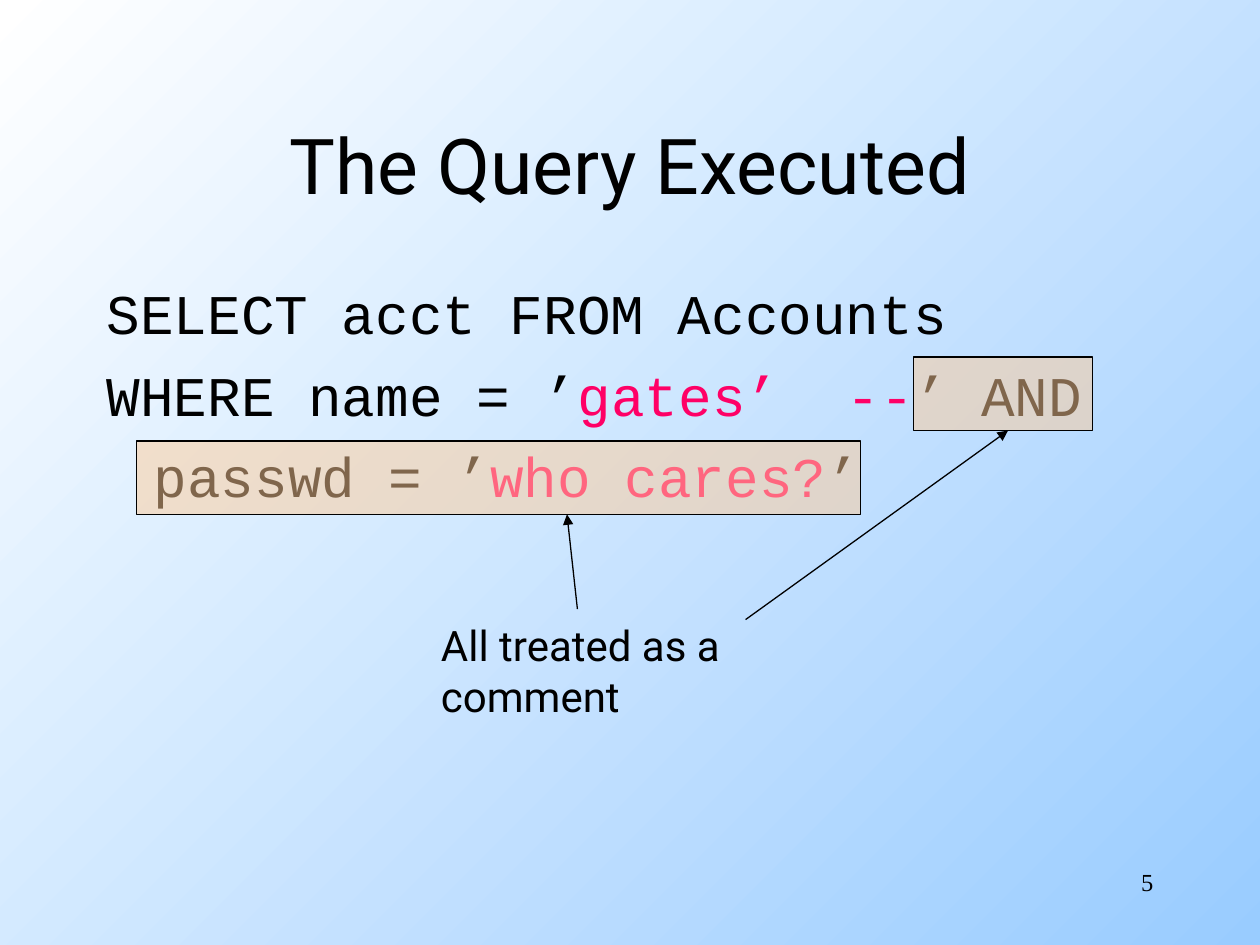
from lxml import etree
from pptx import Presentation
from pptx.dml.color import RGBColor
from pptx.enum import shapes, text
from pptx.oxml import ns
from pptx.util import Cm, Pt

HUES = {"ink": "000000", "pink": "FF0066", "peach": "FFCC99",
        "white": "FFFFFF", "sky": "99CCFF"}
QUERY = [
    [("SELECT acct FROM Accounts", "ink")],
    [("WHERE name = ’", "ink"), ("gates’  --", "pink"), ("’ AND", "ink")],
    [("passwd = ’", "ink"), ("who cares?", "pink"), ("’", "ink")],
]
BOXES = [(18.42, 7.2, 3.6, 1.48), (2.75, 8.89, 14.6, 1.48)]
ARROWS = [(11.64, 12.28, 11.43, 10.37), (15.03, 12.49, 20.32, 8.68)]


def hue(name):
    """Return the named colour."""
    return RGBColor.from_string(HUES[name])


def style(run, font, size, name="ink"):
    """Set the font, size and colour of a run."""
    run.font.name = font
    run.font.size = Pt(size)
    run.font.color.rgb = hue(name)


def place(shape, *area):
    """Move and size a shape, in centimetres."""
    shape.left, shape.top, shape.width, shape.height = map(Cm, area)


def paint(slide):
    """Fill the background with a diagonal gradient."""
    fill = slide.background.fill
    fill.gradient()
    fill.gradient_angle = 315
    for stop, name in zip(fill.gradient_stops, ("white", "sky")):
        stop.color.rgb = hue(name)


def head(slide, words):
    """Write the slide title."""
    title = slide.shapes.title
    place(title, 1.9, 1.7, 21.6, 3.18)
    frame = title.text_frame
    frame.text = words
    frame.vertical_anchor = text.MSO_ANCHOR.MIDDLE
    para = frame.paragraphs[0]
    para.alignment = text.PP_ALIGN.CENTER
    style(para.runs[0], "Roboto", 44)


def frame(slide, *area):
    """Add a wrapping text box and return its frame."""
    body = slide.shapes.add_textbox(*map(Cm, area)).text_frame
    body.word_wrap = True
    return body


def label(slide, words, area, font, size, align=text.PP_ALIGN.LEFT):
    """Add a text box of one paragraph."""
    body = frame(slide, *area)
    body.text = words
    para = body.paragraphs[0]
    para.alignment = align
    style(para.runs[0], font, size)


def code(slide, lines):
    """Write the query with coloured parts and a hanging last line."""
    body = frame(slide, 1.9, 5.5, 21.6, 11.43)
    for i, parts in enumerate(lines):
        para = body.paragraphs[0] if i == 0 else body.add_paragraph()
        para.space_before = Pt(8)
        for words, name in parts:
            run = para.add_run()
            run.text = words
            style(run, "Courier New", 32, name)
    para._p.get_or_add_pPr().set("marL", str(Cm(0.95)))


def veil(slide, area):
    """Add a half transparent box."""
    box = slide.shapes.add_shape(shapes.MSO_SHAPE.RECTANGLE, *map(Cm, area))
    box.shadow.inherit = False
    box.fill.solid()
    box.fill.fore_color.rgb = hue("peach")
    tint = box._element.spPr.find(".//" + ns.qn("a:srgbClr"))
    etree.SubElement(tint, ns.qn("a:alpha"), val="50000")
    box.line.color.rgb = hue("ink")
    box.line.width = Pt(0.75)


def arrow(slide, ends):
    """Add a line with an arrowhead at its end."""
    link = slide.shapes.add_connector(shapes.MSO_CONNECTOR.STRAIGHT,
                                      *map(Cm, ends))
    link.line.color.rgb = hue("ink")
    link.line.width = Pt(0.75)
    etree.SubElement(link.line._get_or_add_ln(), ns.qn("a:tailEnd"),
                     type="triangle")
    etree.SubElement(link._element.spPr, ns.qn("a:effectLst"))


def main():
    """Build the slide and save it."""
    deck = Presentation()
    deck.slide_width, deck.slide_height = Cm(25.4), Cm(19.05)
    slide = deck.slides.add_slide(deck.slide_layouts[5])
    paint(slide)
    label(slide, "5", (18.2, 17.35, 5.3, 1.27), "Times New Roman", 14,
          text.PP_ALIGN.RIGHT)
    head(slide, "The Query Executed")
    code(slide, QUERY)
    for area in BOXES:
        veil(slide, area)
    label(slide, "All treated as a comment", (8.64, 12.37, 6.6, 2.2),
          "Roboto", 24)
    for ends in ARROWS:
        arrow(slide, ends)
    deck.save("out.pptx")


main()
